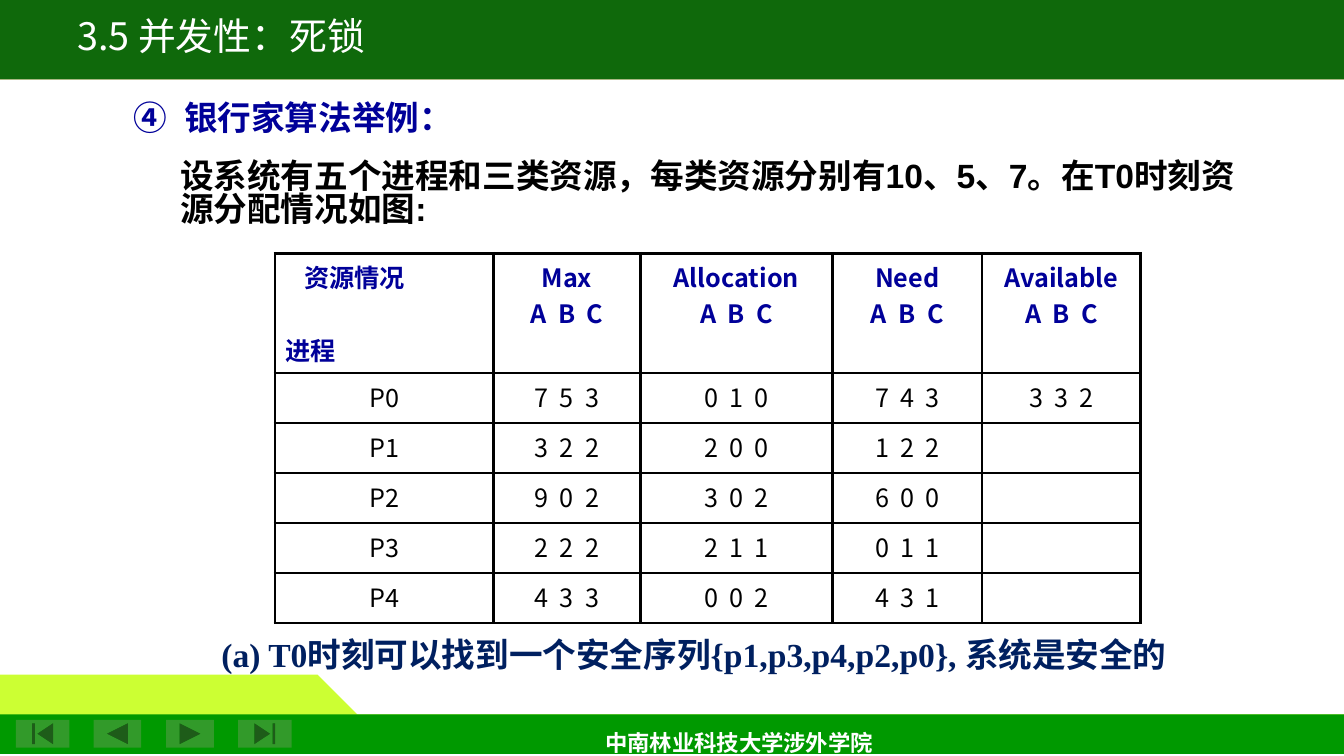
import dataclasses

import pptx
import pptx.dml.color
import pptx.enum.shapes
import pptx.enum.text
import pptx.oxml
import pptx.oxml.ns
import pptx.util

Cm = pptx.util.Cm
Pt = pptx.util.Pt
RGB = pptx.dml.color.RGBColor.from_string
MSO = pptx.enum.shapes.MSO_SHAPE
CENTER = pptx.enum.text.PP_ALIGN.CENTER


@dataclasses.dataclass(frozen=True)
class Theme:
    """Colours, fonts and type sizes of the slide."""
    lime: str = "CCFF33"
    green: str = "009900"
    button: str = "329A2A"
    orange: str = "FBB561"
    forest: str = "0F690B"
    white: str = "FFFFFF"
    black: str = "000000"
    blue: str = "000099"
    navy: str = "002060"
    sans: str = "Noto Sans CJK SC"
    title: int = 27
    body: int = 24
    cell: int = 18
    foot: int = 16


theme = Theme()


def style(par, size, color, bold=True, name=theme.sans):
    """Set the font of a paragraph."""
    font = par.font
    font.size, font.bold, font.name = Pt(size), bold, name
    font.color.rgb = RGB(color)


def paint(shape, color):
    """Give a shape a plain fill with no line or shadow."""
    shape.shadow.inherit = False
    shape.fill.solid()
    shape.fill.fore_color.rgb = RGB(color)
    shape.line.fill.background()


deck = pptx.Presentation()
deck.slide_width, deck.slide_height = Cm(33.87), Cm(19.05)
slide = deck.slides.add_slide(deck.slide_layouts[6])
shapes = slide.shapes

# Header and footer bands, back to front
wide, high = 33.87, 19.05
bands = [
    (theme.lime, [(0, 17.37), (8.05, 17.4), (8.94, 18.06), (wide, 18.06),
                  (wide, 18.8), (0, 18.8)]),
    (theme.green, [(0, 17.53), (7.9, 17.55), (8.86, 18.39), (wide, 18.39),
                   (wide, high), (0, high)]),
    (theme.orange, [(0, 0), (wide, 0), (wide, 2.31), (25.98, 2.31),
                    (25.35, 2.06), (0, 2.06)]),
    (theme.forest, [(0, 0), (wide, 0), (wide, 2.13), (25.98, 2.11),
                    (25.35, 1.9), (0, 1.88)]),
]
for color, points in bands:
    outline = shapes.build_freeform(*points[0], scale=Cm(1))
    outline.add_line_segments(points[1:], close=True)
    paint(outline.convert_to_shape(), color)

# Navigation buttons
buttons = [
    (MSO.ACTION_BUTTON_BEGINNING, 0.4, 1.35),
    (MSO.ACTION_BUTTON_BACK_OR_PREVIOUS, 2.36, 1.2),
    (MSO.ACTION_BUTTON_FORWARD_OR_NEXT, 4.19, 1.2),
    (MSO.ACTION_BUTTON_END, 6, 1.35),
]
for kind, left, width in buttons:
    paint(shapes.add_shape(kind, Cm(left), Cm(18.14), Cm(width), Cm(0.7)),
          theme.button)

# Text: place, wording, size, colour, bold, font, line spacing, space before
texts = [
    ((1.14, 0.41, 8.86, 1.19), "3.5 并发性：死锁",
     theme.title, theme.white, False, theme.sans, 0.8, 0),
    ((3.12, 2.51, 8.59, 1.07), "银行家算法举例：",
     theme.body, theme.blue, True, theme.sans, 0.8, 4.8),
    ((4.29, 3.94, 27.84, 2.01),
     "设系统有五个进程和三类资源，每类资源分别有10、5、7。在T0时刻资源分配情况如图:",
     theme.body, theme.black, True, "Arial", 0.83, 4.8),
    ((5.33, 16.05, 25.81, 1.07),
     "(a) T0时刻可以找到一个安全序列{p1,p3,p4,p2,p0}, 系统是安全的",
     theme.body, theme.navy, True, "Times New Roman", 0.8, 4.8),
    ((14.96, 18.24, 7.34, 0.81), "中南林业科技大学涉外学院",
     theme.foot, theme.white, True, "Open Sans", 1, 0),
]
pars = []
for place, words, size, color, bold, name, lines, before in texts:
    frame = shapes.add_textbox(*map(Cm, place)).text_frame
    frame.word_wrap = True
    par = frame.paragraphs[0]
    par.text = words
    par.line_spacing, par.space_before = lines, Pt(before)
    style(par, size, color, bold, name)
    pars.append(par)
title, heading, _, _, footer = pars
title.alignment = footer.alignment = CENTER

# Circled number four before the heading
props = heading._p.get_or_add_pPr()
props.set("marL", str(Cm(1.27)))
props.set("indent", str(Cm(-1.27)))
number = pptx.oxml.parse_xml(
    f'<a:buAutoNum {pptx.oxml.ns.nsdecls("a")} '
    'type="circleNumDbPlain" startAt="4"/>')
props.find(pptx.oxml.ns.qn("a:defRPr")).addprevious(number)

# Resource table
heads = ["Max", "Allocation", "Need", "Available"]
rows = [["资源情况\n进程"] + [f"{head}\nA  B  C" for head in heads]]
states = ["753 010 743 332", "322 200 122", "902 302 600",
          "222 211 011", "433 002 431"]
for index, state in enumerate(states):
    row = [f"P{index}"] + ["  ".join(part) for part in state.split()]
    rows.append(row + [""] * (5 - len(row)))

widths = [5.5, 3.71, 4.84, 3.77, 4]
tall = [3.02] + [1.26] * len(states)
table = shapes.add_table(len(rows), len(widths), Cm(6.93), Cm(6.38),
                         Cm(sum(widths)), Cm(sum(tall))).table
for column, width in zip(table.columns, widths):
    column.width = Cm(width)
for line, height in zip(table.rows, tall):
    line.height = Cm(height)

for r, row in enumerate(rows):
    for c, words in enumerate(row):
        cell = table.cell(r, c)
        cell.text = words
        cell.fill.background()
        for par in cell.text_frame.paragraphs:
            par.alignment = CENTER if r or c else None
            style(par, theme.cell, theme.black if r else theme.blue, r == 0)
        for spot, side in enumerate("LRTB"):
            edge = pptx.oxml.parse_xml(
                f'<a:ln{side} {pptx.oxml.ns.nsdecls("a")} w="{Pt(2.25)}">'
                f'<a:solidFill><a:srgbClr val="{theme.black}"/></a:solidFill>'
                f'</a:ln{side}>')
            cell._tc.get_or_add_tcPr().insert(spot, edge)

# Corner cell: resources to the right, processes at the foot
above, below = table.cell(0, 0).text_frame.paragraphs
above._p.get_or_add_pPr().set("marL", str(Cm(0.48)))
below.space_before = Pt(26)

deck.save("out.pptx")
